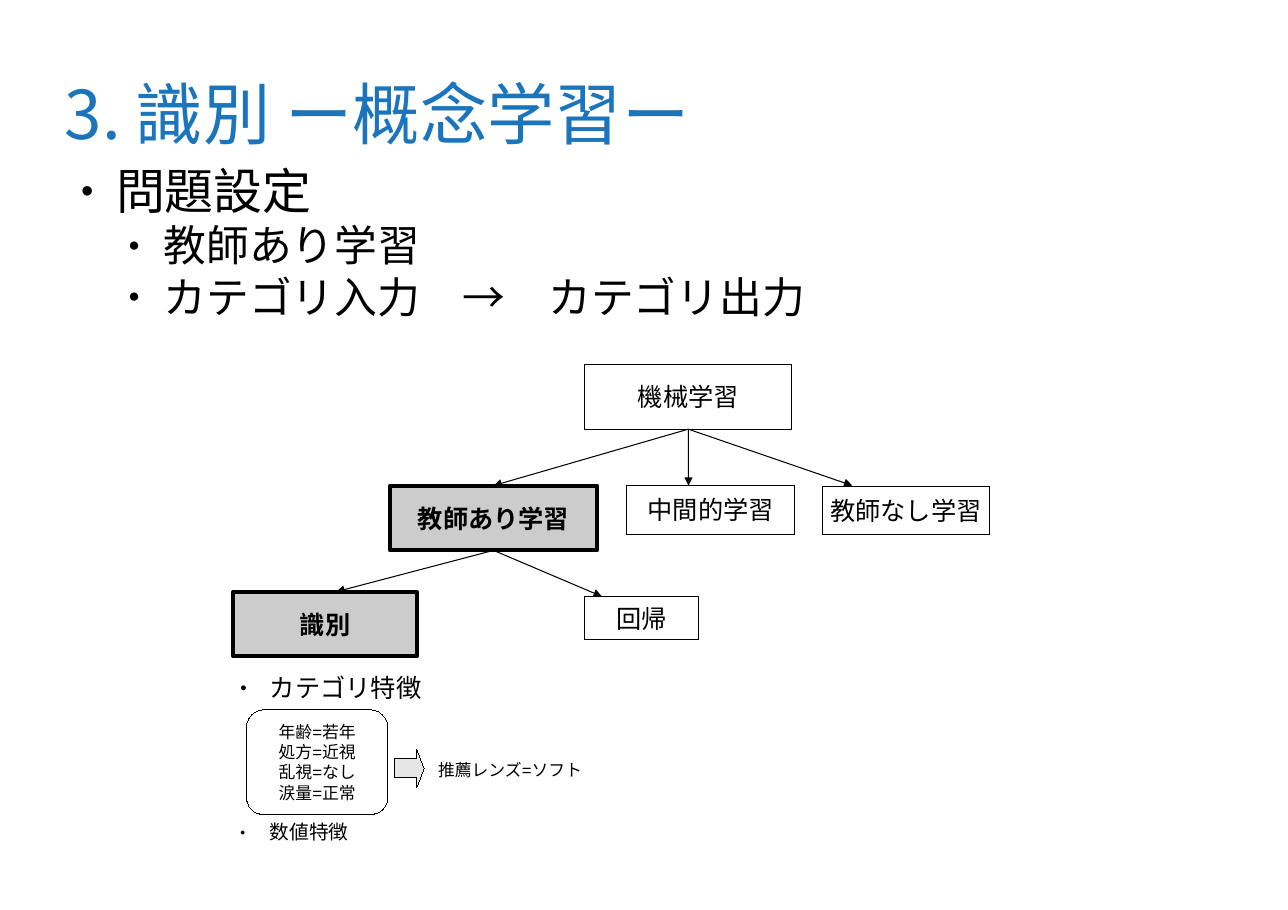
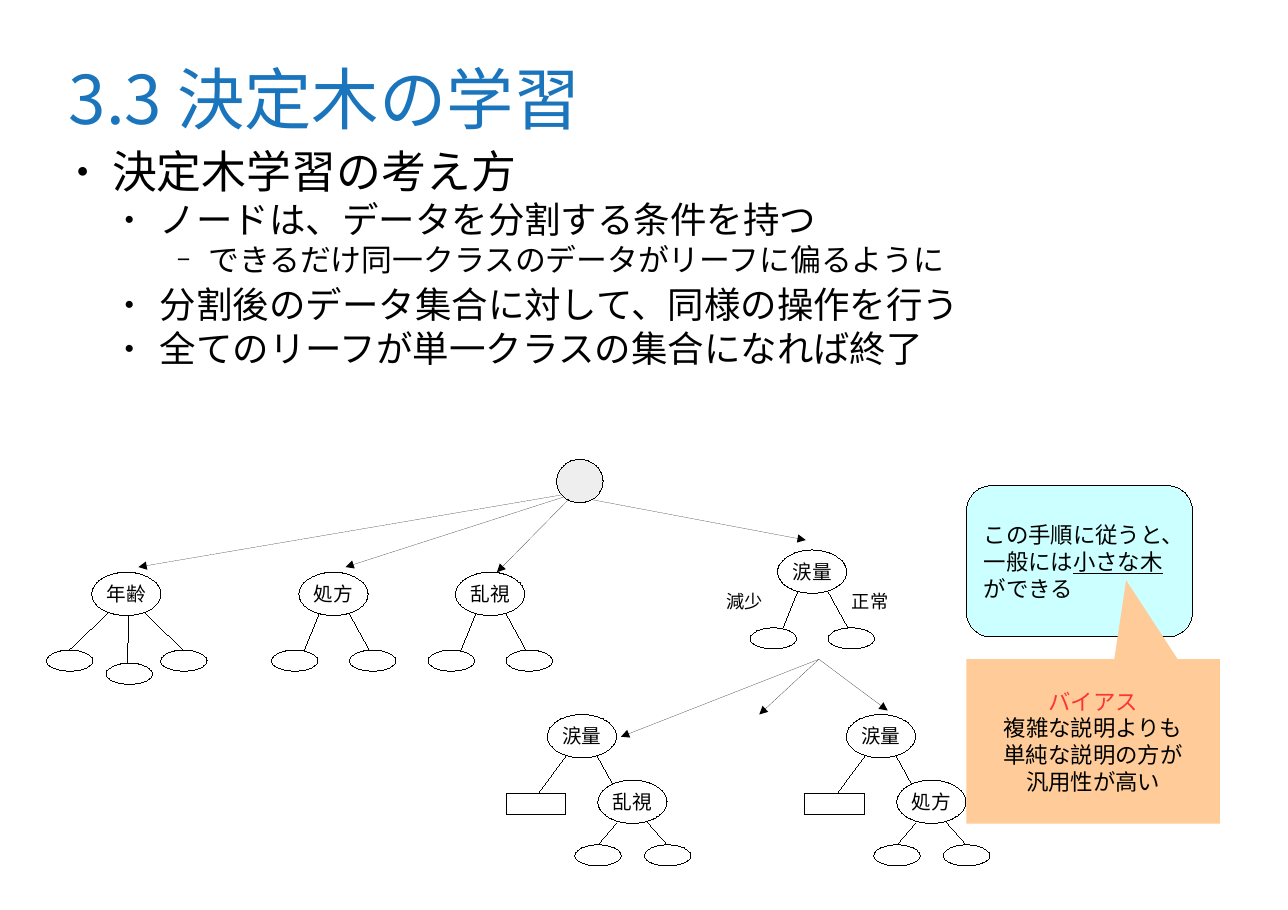
from lxml import etree
from pptx import Presentation
from pptx import util as u
from pptx.dml import color
from pptx.enum import shapes, text
from pptx.oxml import ns

Cm, Pt = u.Cm, u.Pt
SHAPE = shapes.MSO_SHAPE
LATIN, CJK = "Arial", "Noto Sans CJK JP"
BLACK, WHITE, BLUE, RED = "000000", "FFFFFF", "1B75BC", "FF3333"
GREY = "CCCCCC"
# level: left margin and hanging indent in cm, bullet, bullet size in percent
BULLETS = [(1.19, 0.89, "●", 45), (2.39, 0.89, "●", 45), (3.61, 0.79, "−", 75)]

# Branches: line start, line end and leaf corner, from the corner of the node
PAIR = [((1.17, 0.86), (1.83, 2.06), (1.27, 1.96)),
        ((0.58, 0.86), (0, 2.29), (-0.69, 1.96))]
TRIPLE = [((1.17, 0.86), (2.31, 1.96), (1.73, 1.96)),
          ((0.58, 0.86), (-0.58, 1.96), (-1.14, 1.96)),
          ((0.94, 0.97), (0.89, 2.29), (0.36, 2.29))]
NARROW = [((1.17, 0.97), (1.75, 1.63), (1.17, 1.63)),
          ((0.46, 1.09), (0, 1.63), (-0.58, 1.63))]


def rgb(value):
    return color.RGBColor.from_string(value)


def add_child(parent, tag, **attributes):
    return etree.SubElement(parent, ns.qn(tag), attributes)


def set_bullet(paragraph, left, hanging, character, percent):
    properties = paragraph._p.get_or_add_pPr()
    properties.set("marL", str(Cm(left)))
    properties.set("indent", str(-Cm(hanging)))
    add_child(add_child(properties, "a:buClr"), "a:srgbClr", val=BLACK)
    add_child(properties, "a:buSzPct", val=str(percent * 1000))
    add_child(properties, "a:buFont", typeface=LATIN)
    add_child(properties, "a:buChar", char=character)


def add_run(paragraph, words, size, font=LATIN, fill=BLACK, bold=False, underline=False):
    run = paragraph.add_run()
    run.text = words
    run.font.size = Pt(size)
    run.font.bold = bold
    run.font.underline = underline
    run.font.color.rgb = rgb(fill)
    run.font.name = font
    add_child(run._r.get_or_add_rPr(), "a:ea", typeface=CJK)


def prepare_frame(shape, middle=False, wrap=True, margins=(0.25, 0.13)):
    frame = shape.text_frame
    frame.word_wrap = wrap
    frame.auto_size = text.MSO_AUTO_SIZE.NONE
    frame.vertical_anchor = text.MSO_ANCHOR.MIDDLE if middle else text.MSO_ANCHOR.TOP
    frame.margin_left = frame.margin_right = Cm(margins[0])
    frame.margin_top = frame.margin_bottom = Cm(margins[1])
    return frame


def add_paragraphs(frame, count):
    paragraphs = [frame.paragraphs[0]]
    paragraphs += [frame.add_paragraph() for _ in range(count - 1)]
    return paragraphs


def add_textbox(slide, box, **frame_options):
    return prepare_frame(slide.shapes.add_textbox(*map(Cm, box)), **frame_options)


def add_title(slide, box, words):
    frame = add_textbox(slide, box, middle=True, margins=(0, 0))
    add_run(frame.paragraphs[0], words, 48, CJK, BLUE)


def add_body(slide, box, items):
    """Add a bullet list; each item is its level, its size and its words."""
    frame = add_textbox(slide, box, margins=(0, 0))
    for paragraph, (level, size, words) in zip(add_paragraphs(frame, len(items)), items):
        set_bullet(paragraph, *BULLETS[level])
        paragraph.level = level
        if level == 2:
            paragraph.space_after = Pt(2.8)
        add_run(paragraph, words, size, CJK)


def add_label(slide, box, words, size):
    add_run(add_textbox(slide, box).paragraphs[0], words, size)


def set_line(line, width):
    """Colour a line black; width 0 is written out, as it means a hairline."""
    line.color.rgb = rgb(BLACK)
    line._get_or_add_ln().set("w", str(Pt(width)))


def add_shape(slide, kind, box, fill=None, outlined=True, width=0):
    shape = slide.shapes.add_shape(kind, *map(Cm, box))
    shape.shadow.inherit = False
    if fill:
        shape.fill.solid()
        shape.fill.fore_color.rgb = rgb(fill)
    else:
        shape.fill.background()
    if outlined:
        set_line(shape.line, width)
    else:
        shape.line.fill.background()
    return shape


def fill_text(shape, lines, size, align=text.PP_ALIGN.CENTER, **run_options):
    """Write lines into a shape; each line is a list of (words, run options)."""
    frame = prepare_frame(shape, middle=True, wrap=False)
    for paragraph, runs in zip(add_paragraphs(frame, len(lines)), lines):
        paragraph.alignment = align
        for words, options in runs:
            add_run(paragraph, words, size, **{**run_options, **options})


def plain(*lines):
    return [[(words, {})] for words in lines]


def add_line(slide, start, end, width=0, arrow=False):
    connector = slide.shapes.add_connector(
        shapes.MSO_CONNECTOR.STRAIGHT, *map(Cm, (*start, *end)))
    set_line(connector.line, width)
    if arrow:
        add_child(connector.line._get_or_add_ln(), "a:tailEnd", type="triangle")
    add_child(connector._element.spPr, "a:effectLst")
    return connector


def add_category(slide, box, words, chosen=False):
    shape = add_shape(slide, SHAPE.RECTANGLE, box, GREY if chosen else WHITE,
                      width=2.83 if chosen else 0)
    fill_text(shape, plain(words), 18, font=CJK, bold=chosen)
    return shape


def add_taxonomy(slide, left, top):
    def category(x, y, width, height, words, chosen=False):
        return add_category(slide, (left + x, top + y, width, height), words, chosen)

    def branch(parent, start, end, child=None):
        connector = add_line(slide, (left + start[0], top + start[1]),
                             (left + end[0], top + end[1]), 0.75, arrow=True)
        connector.begin_connect(parent, 2)
        if child:
            connector.end_connect(child, 0)

    learning = category(8.84, 0, 5.21, 1.63, "機械学習")
    supervised = category(3.94, 3.05, 5.21, 1.63, "教師あり学習", True)
    category(9.9, 3.05, 4.22, 1.22, "中間的学習")
    category(14.81, 3.07, 4.22, 1.22, "教師なし学習")
    category(0, 5.72, 4.62, 1.63, "識別", True)
    category(8.84, 5.84, 2.87, 1.09, "回帰")
    branch(learning, (11.45, 1.63), (6.55, 3.05), supervised)
    for end in ((11.45, 3.05), (15.57, 3.05)):
        branch(learning, (11.45, 1.63), end)
    for end in ((2.59, 5.72), (9.27, 5.84)):
        branch(supervised, (6.55, 4.68), end)


def add_features(slide, left, top):
    frame = add_textbox(slide, (left, top, 5.6, 5.2))
    items = (("カテゴリ特徴", 18, 84), ("数値特徴", 14, 0))
    for paragraph, (words, size, after) in zip(add_paragraphs(frame, 2), items):
        set_bullet(paragraph, 0.75, 0.75, "●", 45)
        paragraph.space_after = Pt(after)
        add_run(paragraph, words, size)
    example = add_shape(slide, SHAPE.ROUNDED_RECTANGLE, (left + 0.41, top + 1.07, 3.56, 2.64))
    fill_text(example, plain("年齢=若年", "処方=近視", "乱視=なし", "涙量=正常"), 12)
    arrow = add_shape(slide, SHAPE.RIGHT_ARROW, (left + 4.14, top + 2.06, 0.74, 0.97), "E6E6E6")
    arrow.adjustments[1] = 0.25
    add_label(slide, (left + 4.98, top + 2.21, 4.6, 1.5), "推薦レンズ=ソフト", 12)


def add_node(slide, left, top, words, branches=()):
    for (x1, y1), (x2, y2), (x, y) in branches:
        add_line(slide, (left + x1, top + y1), (left + x2, top + y2))
        add_shape(slide, SHAPE.OVAL, (left + x, top + y, 1.17, 0.53), WHITE)
    node = add_shape(slide, SHAPE.OVAL, (left, top, 1.74, 1.09), WHITE)
    fill_text(node, plain(words), 14)


def add_subtree(slide, left, top, root, child):
    """Add a node with a finished leaf on the left and a split on the right."""
    for x1, x2, y2 in ((1.17, 1.83, 2.08), (0.58, -0.23, 1.98)):
        add_line(slide, (left + x1, top + 0.89), (left + x2, top + y2))
    add_shape(slide, SHAPE.RECTANGLE, (left - 1.04, top + 1.98, 1.5, 0.53))
    add_node(slide, left, top, root)
    add_node(slide, left + 1.27, top + 1.65, child, NARROW)


def add_search(slide, left, top):
    arrows = [((12.02, 0.86), (1.17, 2.71)), ((12.14, 0.86), (6.38, 2.71)),
              ((12.14, 0.86), (10.19, 2.84)), ((12.19, 0.94), (17.96, 2.03))]
    arrows += [((18.29, 5.03), end) for end in ((20.02, 6.32), (13.31, 6.98), (16.79, 6.42))]
    for (x1, y1), (x2, y2) in arrows:
        add_line(slide, (left + x1, top + y1), (left + x2, top + y2), arrow=True)
    add_shape(slide, SHAPE.OVAL, (left + 11.69, top, 1.17, 1.09), "EEEEEE")
    for x, y, words, branches in ((0, 2.84, "年齢", TRIPLE), (5.21, 2.84, "処方", PAIR),
                                  (9.15, 2.84, "乱視", PAIR), (17.25, 2.28, "涙量", PAIR)):
        add_node(slide, left + x, top + y, words, branches)
    for x, words in ((15.72, "減少"), (18.87, "正常")):
        add_label(slide, (left + x, top + 3.17, 1.7, 1.19), words, 13)
    for x, child in ((11.46, "乱視"), (18.98, "処方")):
        add_subtree(slide, left + x, top + 6.42, "涙量", child)


def add_remarks(slide, left, top):
    result = add_shape(slide, SHAPE.ROUNDED_RECTANGLE, (left, top, 5.69, 3.81), "CCFFFF")
    lines = plain("この手順に従うと、", "一般には", "ができる")
    lines[1].append(("小さな木", {"underline": True}))
    fill_text(result, lines, 16, text.PP_ALIGN.LEFT)
    bias = add_shape(slide, SHAPE.RECTANGULAR_CALLOUT, (left, top + 4.37, 6.38, 4.14),
                     "FFCC99", outlined=False)
    bias.adjustments[0], bias.adjustments[1] = 0.13, -0.98
    lines = plain("複雑な説明よりも", "単純な説明の方が", "汎用性が高い")
    fill_text(bias, [[("バイアス", {"fill": RED})], *lines], 16)


def build_concept_slide(slide):
    add_title(slide, (1.63, 0.91, 29.16, 3.84), "3. 識別 ー概念学習ー")
    add_body(slide, (1.73, 4.04, 29.16, 4.5), [
        (0, 34.9, "問題設定"),
        (1, 30.5, "教師あり学習"),
        (1, 30.5, "カテゴリ入力　→　カテゴリ出力"),
    ])
    add_taxonomy(slide, 5.87, 9.17)
    add_features(slide, 5.79, 16.79)


def build_tree_slide(slide):
    add_title(slide, (1.73, 0.84, 29.16, 3.23), "3.3 決定木の学習")
    add_body(slide, (1.63, 3.61, 29.62, 6.5), [
        (0, 32, "決定木学習の考え方"),
        (1, 26, "ノードは、データを分割する条件を持つ"),
        (2, 22, "できるだけ同一クラスのデータがリーフに偏るように"),
        (1, 26, "分割後のデータ集合に対して、同様の操作を行う"),
        (1, 26, "全てのリーフが単一クラスの集合になれば終了"),
    ])
    add_search(slide, 2.31, 11.56)
    add_remarks(slide, 24.31, 12.22)


def main():
    presentation = Presentation()
    presentation.slide_width, presentation.slide_height = Cm(32.4), Cm(22.9)
    for build in (build_concept_slide, build_tree_slide):
        build(presentation.slides.add_slide(presentation.slide_layouts[6]))
    presentation.save("out.pptx")


if __name__ == "__main__":
    main()
